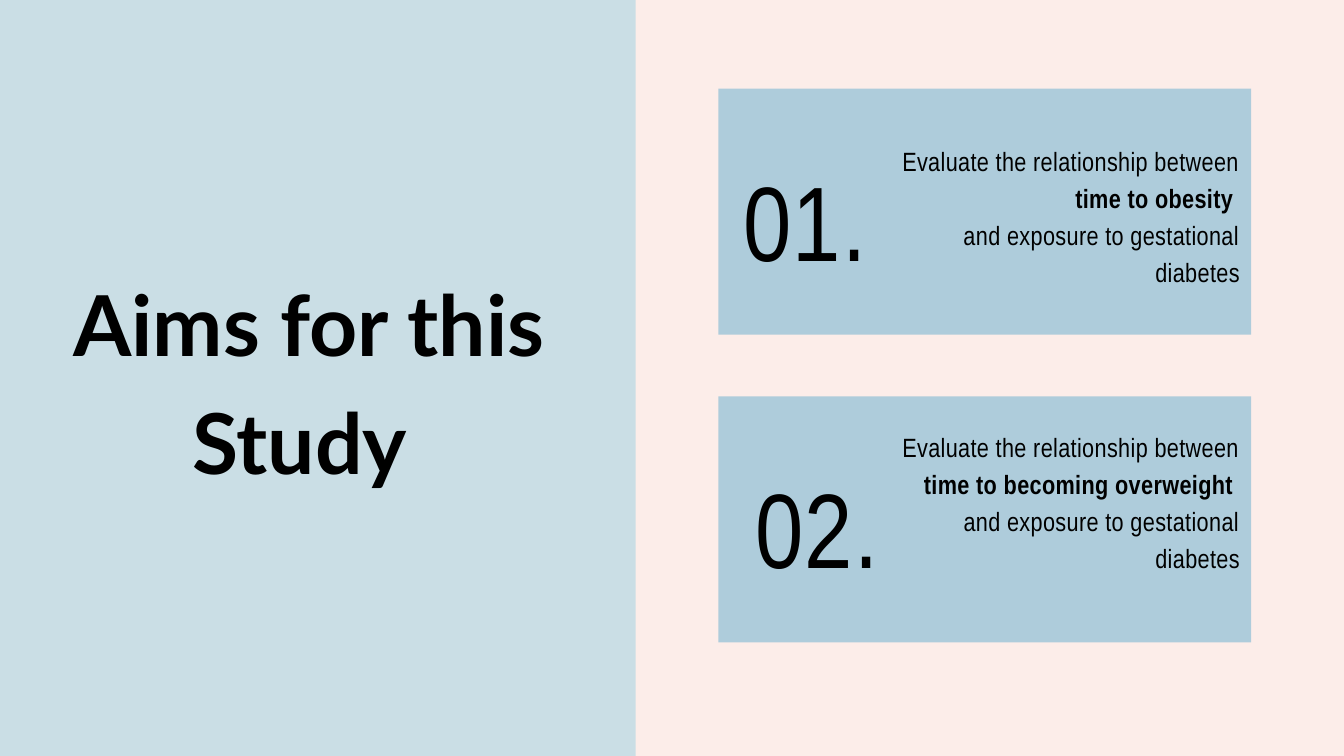
from pptx import Presentation
from pptx.dml.color import RGBColor
from pptx.enum.shapes import MSO_SHAPE
from pptx.enum.text import PP_ALIGN
from pptx.util import Inches, Pt

RECT = MSO_SHAPE.RECTANGLE
CENTER, RIGHT = PP_ALIGN.CENTER, PP_ALIGN.RIGHT
color = RGBColor.from_string

prs = Presentation()
prs.slide_width, prs.slide_height = Inches(20), Inches(11.25)
s = prs.slides.add_slide(prs.slide_layouts[6])
s.background.fill.solid()
s.background.fill.fore_color.rgb = color("FCEDE9")


def add_panel(left, top, width, height, fill):
    sp = s.shapes.add_shape(RECT, Inches(left), Inches(top), Inches(width), Inches(height))
    sp.shadow.inherit = False
    sp.fill.solid()
    sp.fill.fore_color.rgb = color(fill)
    sp.line.fill.background()


def add_text(box, paragraphs, font, size, leading, align, spacing=0):
    """Each paragraph is a list of (text, bold) runs."""
    tf = s.shapes.add_textbox(*[Inches(v) for v in box]).text_frame
    tf.word_wrap = True
    tf.margin_left = tf.margin_right = tf.margin_top = tf.margin_bottom = 0
    for i, runs in enumerate(paragraphs):
        p = tf.add_paragraph() if i else tf.paragraphs[0]
        p.alignment = align
        p.line_spacing = Pt(leading)
        for text, bold in runs:
            r = p.add_run()
            r.text = text
            r.font.name, r.font.size, r.font.bold = font, Pt(size), bold
            r.font.color.rgb = color("000000")
            if spacing:
                r.font._element.set("spc", str(round(spacing * 100)))


# Title panel
add_panel(0, 0, 9.46, 11.25, "CADEE5")
add_text((0.67, 3.81, 7.86, 3.44), [[("Aims for this Study ", True)]],
         "Lato", 90, 126, CENTER)

# Aim cards: card top, number, number box, outcome, description box
aims = [
    (1.32, "01.", (10.83, 2, 2.3, 2.08), "time to obesity ", (12.99, 2.08, 5.46, 2.17)),
    (5.9, "02.", (10.98, 6.57, 2.36, 2.08), "time to becoming overweight ", (13.13, 6.34, 5.32, 2.71)),
]
for top, number, number_box, outcome, aim_box in aims:
    add_panel(10.69, top, 7.93, 3.66, "AECCDB")
    add_text(number_box, [[(number, False)]], "Arial Narrow", 113.4, 158.8, CENTER, 1.5)
    description = [
        [("Evaluate the relationship between ", False), (outcome, True)],
        [("and exposure to gestational diabetes", False)],
    ]
    add_text(aim_box, description, "Arial Narrow", 28.3, 39.6, RIGHT, 0.4)

prs.save("out.pptx")
